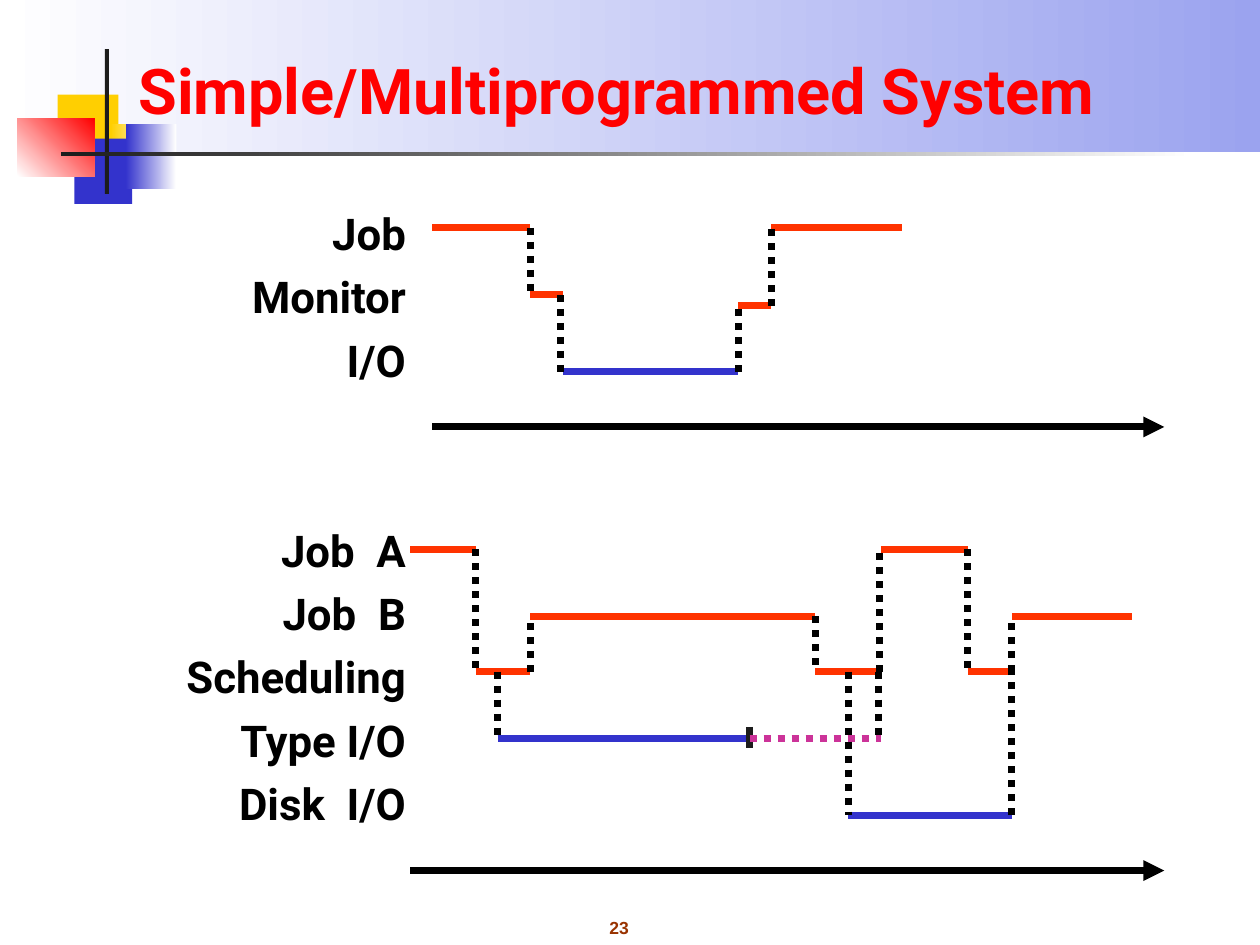
"""Build the slide that compares simple and multiprogrammed job timelines."""
from lxml import etree
from pptx import Presentation, util as u
from pptx.dml import color
from pptx.enum import dml, shapes, text
from pptx.oxml import ns

COLORS = {
    "black": "000000", "white": "FFFFFF", "ink": "1C1C1C", "red": "FF0000",
    "run": "FF3300", "io": "3333CC", "wait": "CC3399", "gold": "FFCF01",
    "sky": "9BA3EF", "number": "993300",
}

PANELS = [
    (0, 0, 720, 87, ("white", "sky"), 0),
    (33, 54, 34.6, 37.4, ("gold",), 0),
    (63.4, 70.6, 26, 37.4, ("gold", "white"), 0),
    (42.5, 79.2, 33.1, 37.4, ("io",), 0),
    (72, 70.6, 28.8, 37.4, ("io", "white"), 0),
    (10, 67.7, 44, 33.1, ("white", "red"), 45),
    (60, 28, 2.2, 82.8, ("ink",), 0),
    (34.6, 87, 648, 2.2, ("ink", "white"), 0),
]

LABELS = [
    ("Job",), ("Monitor",), ("I/O",), ("Job", "A"), ("Job", "B"),
    ("Scheduling",), ("Type I/O",), ("Disk", "I/O"),
]
LABEL_GAP = 6.2
GROUP_GAP = 78.6

JOB, MONITOR_OUT, MONITOR_BACK, IO = 130.3, 168.5, 174.6, 212.4
JOB_A, JOB_B, SCHEDULING, TYPE_IO, DISK_IO = 313.9, 352.1, 383.8, 421.9, 465.8

STATES = [
    ("run", JOB, 247, 303), ("run", MONITOR_OUT, 303, 322),
    ("io", IO, 322, 422), ("run", MONITOR_BACK, 422, 440.6),
    ("run", JOB, 440.6, 515.5),
    ("run", JOB_A, 234.5, 272), ("run", SCHEDULING, 272, 303),
    ("run", JOB_B, 303, 465.8), ("run", SCHEDULING, 465.8, 503.3),
    ("io", DISK_IO, 484.6, 578.2), ("io", TYPE_IO, 284.4, 428.4),
    ("run", JOB_A, 503.3, 553), ("run", SCHEDULING, 553, 578.2),
    ("run", JOB_B, 578.2, 646.6),
]

SWITCHES = [
    (303, JOB, MONITOR_OUT), (320.4, MONITOR_OUT, IO),
    (422, IO, MONITOR_BACK), (440.6, MONITOR_BACK, JOB),
    (272, JOB_A, SCHEDULING), (284.4, SCHEDULING, TYPE_IO),
    (303, SCHEDULING, JOB_B), (465.8, JOB_B, SCHEDULING),
    (484.6, SCHEDULING, DISK_IO), (502.6, SCHEDULING, JOB_A),
    (553, JOB_A, SCHEDULING), (578.2, SCHEDULING, JOB_B),
    (578.2, DISK_IO, SCHEDULING), (501.8, SCHEDULING, TYPE_IO),
]

TIME_AXES = [(247, 244), (234.5, 497.5)]
AXIS_END = 665.3


class Painter:
    """Hold the style and the current slide."""

    def __init__(self, page):
        self.page = page
        self.font = "Roboto"
        self.line_width = 4

    def rgb(self, name):
        """Return a named colour."""
        return color.RGBColor.from_string(COLORS[name])

    def span(self, para, words, size, ink, font=None):
        """Add one bold run."""
        span = para.add_run()
        span.text = words
        span.font.name = font or self.font
        span.font.size = u.Pt(size)
        span.font.bold = True
        span.font.color.rgb = self.rgb(ink)
        return span

    def panel(self, left, top, width, height, inks, angle):
        """Add a plain or gradient rectangle."""
        box = self.page.shapes.add_shape(
            shapes.MSO_SHAPE.RECTANGLE, *map(u.Pt, (left, top, width, height)))
        box.shadow.inherit = False
        box.line.fill.background()
        if len(inks) == 1:
            box.fill.solid()
            box.fill.fore_color.rgb = self.rgb(inks[0])
            return
        box.fill.gradient()
        box.fill.gradient_angle = angle
        for stop, ink in zip(box.fill.gradient_stops, inks):
            stop.color.rgb = self.rgb(ink)

    def title(self, words):
        """Place the title in front of the panels."""
        box = self.page.shapes.title
        box.left, box.top, box.width, box.height = map(u.Pt, (72, 28, 647, 49))
        self.page.shapes._spTree.append(box._element)
        frame = box.text_frame
        frame.auto_size = text.MSO_AUTO_SIZE.NONE
        frame.vertical_anchor = text.MSO_ANCHOR.BOTTOM
        para = frame.paragraphs[0]
        para.alignment = text.PP_ALIGN.LEFT
        para.line_spacing = 0.9
        self.span(para, words, 36, "red")

    def frame(self, left, top, width, height, wrap=True):
        """Add a text box and return its frame."""
        box = self.page.shapes.add_textbox(*map(u.Pt, (left, top, width, height)))
        box.text_frame.word_wrap = wrap
        return box.text_frame

    def labels(self):
        """Add the right-aligned row names of both timelines."""
        frame = self.frame(67, 114.5, 172, 367)
        for index, words in enumerate(LABELS):
            para = frame.paragraphs[0] if index == 0 else frame.add_paragraph()
            para.alignment = text.PP_ALIGN.RIGHT
            if index:
                para.space_before = u.Pt(GROUP_GAP if index == 3 else LABEL_GAP)
            self.span(para, words[0], 25, "black")
            for word in words[1:]:
                space = self.span(para, " ", 25, "black")
                space.font._element.set("spc", "620")
                self.span(para, word, 25, "black")

    def number(self, words):
        """Add the slide number."""
        para = self.frame(322.5, 520.5, 62.6, 19.4, False).paragraphs[0]
        para.alignment = text.PP_ALIGN.CENTER
        self.span(para, words, 10, "number", "Arial")

    def line(self, start, end, ink, dotted=False, arrow=False):
        """Add a straight line."""
        line = self.page.shapes.add_connector(
            shapes.MSO_CONNECTOR.STRAIGHT, *map(u.Pt, start + end))
        line.line.width = u.Pt(self.line_width)
        line.line.color.rgb = self.rgb(ink)
        if dotted:
            line.line.dash_style = dml.MSO_LINE.ROUND_DOT
        if arrow:
            etree.SubElement(line.line._get_or_add_ln(), ns.qn("a:tailEnd"), type="triangle")
        etree.SubElement(line._element.spPr, ns.qn("a:effectLst"))


def main():
    """Build and save the deck."""
    deck = Presentation()
    deck.slide_width, deck.slide_height = u.Pt(720), u.Pt(540)
    painter = Painter(deck.slides.add_slide(deck.slide_layouts[5]))
    for panel in PANELS:
        painter.panel(*panel)
    painter.number("23")
    painter.title("Simple/Multiprogrammed System")
    painter.labels()
    for ink, y, start, end in STATES:
        painter.line((start, y), (end, y), ink)
    painter.line((428.4, 415.4), (428.4, 427.7), "ink")
    painter.line((428.4, TYPE_IO), (503.3, TYPE_IO), "wait", dotted=True)
    for x, start, end in SWITCHES:
        painter.line((x, start), (x, end), "black", dotted=True)
    for start, y in TIME_AXES:
        painter.line((start, y), (AXIS_END, y), "black", arrow=True)
    deck.save("out.pptx")


if __name__ == "__main__":
    main()
